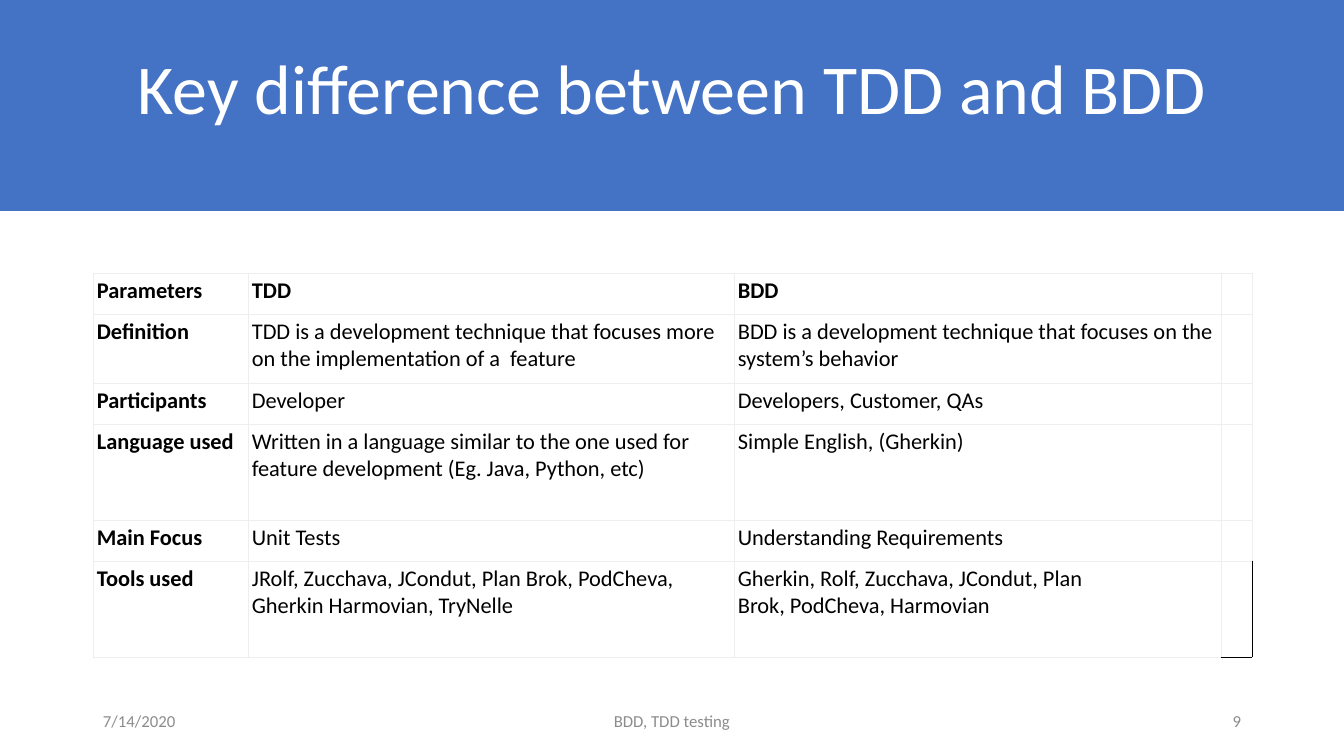
"""Build the slide comparing TDD with BDD."""
from lxml.etree import SubElement
from pptx import Presentation
from pptx.dml.color import RGBColor
from pptx.enum.shapes import MSO_SHAPE
from pptx.enum.text import MSO_ANCHOR as Anchor, PP_ALIGN as Align
from pptx.oxml.ns import qn
from pptx.util import Pt

TITLE = "Key difference between TDD and BDD"
COMPARISON = [
    ("Parameters", "TDD", "BDD", ""),
    ("Definition",
     "TDD is a development technique that focuses more on the implementation of a\u00a0 feature",
     "BDD is a development technique that focuses on the system’s behavior", ""),
    ("Participants", "Developer", "Developers, Customer, QAs", ""),
    ("Language used",
     "Written in a language similar to the one used for feature development (Eg. Java, Python, etc)",
     "Simple English, (Gherkin)\u00a0", ""),
    ("Main Focus", "Unit Tests", "Understanding Requirements", ""),
    ("Tools used",
     "JRolf, Zucchava, JCondut, Plan Brok,\u00a0PodCheva, Gherkin Harmovian, TryNelle",
     "Gherkin, Rolf, Zucchava, JCondut, Plan Brok,\u00a0PodCheva, Harmovian", ""),
]
FOOTERS = [
    ("7/14/2020", 93, 302, Align.LEFT),
    ("BDD, TDD testing", 445, 454, Align.CENTER),
    ("9", 949, 302, Align.RIGHT),
]
COLUMN_WIDTHS = [155, 486, 487, 31]
ROW_HEIGHTS = [41, 69, 41, 96, 41, 96]
COLORS = {"band": "4472C4", "paper": "FFFFFF", "ink": "000000",
          "grid": "EEEEEE", "footer": "8C8C8C"}
SLIDE_WIDTH, SLIDE_HEIGHT = 1344, 756


def px(count):
    return round(count * 914400 / 100.8)


def color(name):
    return RGBColor.from_string(COLORS[name])


def style(paragraph, size, color_name, align=Align.LEFT, bold=False):
    paragraph.alignment = align
    font = paragraph.font
    font.name, font.size, font.bold = "Calibri", Pt(size), bold
    font.color.rgb = color(color_name)


def add_text(slide, text, box, size, color_name, align, anchor):
    frame = slide.shapes.add_textbox(*map(px, box)).text_frame
    frame.word_wrap = True
    frame.vertical_anchor = anchor
    frame.text = text
    style(frame.paragraphs[0], size, color_name, align)
    return frame.paragraphs[0]


def add_border(cell, side, color_name):
    line = SubElement(cell._tc.get_or_add_tcPr(), qn(f"a:ln{side}"), w=str(Pt(0.6)))
    SubElement(SubElement(line, qn("a:solidFill")), qn("a:srgbClr"), val=COLORS[color_name])


def add_comparison(slide):
    table = slide.shapes.add_table(
        len(ROW_HEIGHTS), len(COLUMN_WIDTHS), px(93), px(273),
        px(sum(COLUMN_WIDTHS)), px(sum(ROW_HEIGHTS))).table
    table.first_row = table.horz_banding = False
    for column, width in zip(table.columns, COLUMN_WIDTHS):
        column.width = px(width)
    for row, height in zip(table.rows, ROW_HEIGHTS):
        row.height = px(height)
    for r, texts in enumerate(COMPARISON):
        for c, text in enumerate(texts):
            cell = table.cell(r, c)
            corner = r == len(ROW_HEIGHTS) - 1 and c == len(COLUMN_WIDTHS) - 1
            cell.margin_left = cell.margin_right = px(4)
            cell.margin_top = cell.margin_bottom = px(4)
            cell.text = text
            style(cell.text_frame.paragraphs[0], 16, "ink", bold=r == 0 or c == 0)
            for side in "LRTB":
                add_border(cell, side, "ink" if corner and side in "RB" else "grid")
            if corner:
                cell.fill.background()
            else:
                cell.fill.solid()
                cell.fill.fore_color.rgb = color("paper")


deck = Presentation()
deck.slide_width, deck.slide_height = px(SLIDE_WIDTH), px(SLIDE_HEIGHT)
slide = deck.slides.add_slide(deck.slide_layouts[6])

band = slide.shapes.add_shape(MSO_SHAPE.RECTANGLE, 0, 0, px(SLIDE_WIDTH), px(211))
band.shadow.inherit = False
band.fill.solid()
band.fill.fore_color.rgb = color("band")
band.line.fill.background()

title = add_text(slide, TITLE, (93, 32, 1159, 103), 50, "paper", Align.CENTER, Anchor.BOTTOM)
title.line_spacing = 0.9
add_comparison(slide)
for text, left, width, align in FOOTERS:
    add_text(slide, text, (left, 701, width, 40), 12, "footer", align, Anchor.MIDDLE)

deck.save("out.pptx")
